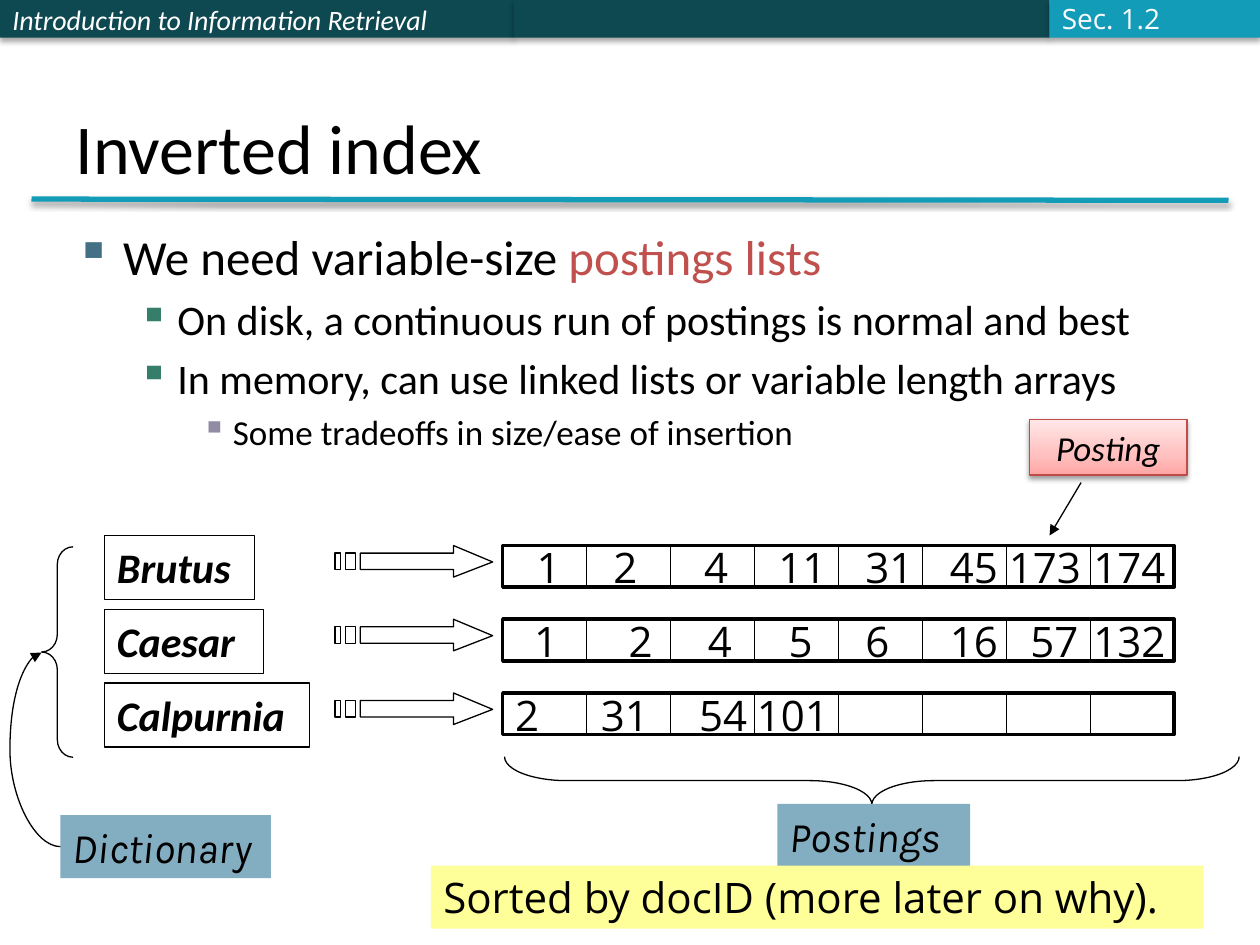
import pptx
import pptx.util
import pptx.dml.color
import pptx.enum.shapes
import pptx.enum.text
import pptx.oxml
import pptx.oxml.ns

THEME = dict(
    head="Calibri", label="Karla", plain="Open Sans",
    ink="000000", white="FFFFFF", pale="FBFCFF", dark="0E4851", teal="139CB7", red="C0504D",
    blue="83ADC1", yellow="FFFF99", rose="BF4C48",
    glow=((0, "FFA6A5"), (35, "FFC0BF"), (100, "FFE7E7")),
    title=40, big=24, mid=20, small=16, thin=0.75, thick=2, rule=3,
)
# Bullet levels: type size, left indent, hanging indent, bullet colour
LEVELS = [(28, 0.38, 0.38, "437085"), (24, 0.81, 0.31, "357E69"), (20, 1.25, 0.25, "918BA3")]
BULLETS = [
    (0, [("We need variable-size ", "ink"), ("postings lists", "red")]),
    (1, [("On disk, a continuous run of postings is normal and best", "ink")]),
    (1, [("In memory, can use linked lists or variable length arrays", "ink")]),
    (2, [("Some tradeoffs in size/ease of insertion", "ink")]),
]
# Term, width of its box, postings with the left edge of each number
ROWS = [
    ("Brutus", 1.19, [(1, 4.16), (2, 4.77), (4, 5.49), (11, 6.08), (31, 6.77),
                      (45, 7.44), (173, 7.91), (174, 8.58)]),
    ("Caesar", 1.26, [(1, 4.14), (2, 4.89), (4, 5.52), (5, 6.16), (6, 6.77),
                      (16, 7.44), (57, 8.08), (132, 8.58)]),
    ("Calpurnia", 1.63, [(2, 3.99), (31, 4.67), (54, 5.45), (101, 5.91)]),
]
ROW_TOP, ROW_STEP, CELL_H = 4.33, 0.585, 0.33
LIST_LEFT, LIST_W, CELLS = 3.99, 5.33, 8
NUMBER_W = {1: 0.41, 2: 0.63, 3: 0.84}
BAR_H = 0.3
ARROW_PARTS = [
    [(0.94, 0), (0.94, 0.06), (0.2, 0.06), (0.2, 0.19), (0.94, 0.19), (0.94, 0.25), (1.25, 0.13)],
    [(0.08, 0.06), (0.08, 0.19), (0.16, 0.19), (0.16, 0.06)],
    [(0, 0.06), (0, 0.19), (0.04, 0.19), (0.04, 0.06)],
]

inch, pt = pptx.util.Inches, pptx.util.Pt
SHAPE = pptx.enum.shapes.MSO_SHAPE
LINK = pptx.enum.shapes.MSO_CONNECTOR
ANCHOR = pptx.enum.text.MSO_ANCHOR
ALIGN = pptx.enum.text.PP_ALIGN
AUTO = pptx.enum.text.MSO_AUTO_SIZE
qn = pptx.oxml.ns.qn

prs = pptx.Presentation()
prs.slide_width, prs.slide_height = inch(10), inch(7.5)
s = prs.slides.add_slide(prs.slide_layouts[5])


def rgb(value):
    """Turn a hex string into a colour."""
    return pptx.dml.color.RGBColor.from_string(value)


def xml(tag, inner="", attrs=""):
    """Make one drawing element."""
    return pptx.oxml.parse_xml(f'<a:{tag} {pptx.oxml.ns.nsdecls("a")} {attrs}>{inner}</a:{tag}>')


def color_xml(value, inner=""):
    """Give the markup of a colour."""
    return f'<a:srgbClr val="{value}">{inner}</a:srgbClr>'


def drop_shadow(sp, alpha):
    """Put a soft shadow below a shape or line."""
    for old in sp._element.spPr.findall(qn("a:effectLst")):
        sp._element.spPr.remove(old)
    tint = color_xml("000000", f'<a:alpha val="{alpha * 1000}"/>')
    sp._element.spPr.append(xml("effectLst", '<a:outerShdw blurRad="39370" dist="22860" dir="5400000" '
                                f'rotWithShape="0">{tint}</a:outerShdw>'))


def add_run(p, text, size, font, color="ink", bold=False, italic=False):
    """Add one formatted run."""
    r = p.add_run()
    r.text = text
    r.font.size, r.font.name = pt(size), THEME[font]
    r.font.bold, r.font.italic = bold, italic
    r.font.color.rgb = rgb(THEME[color])


def outline(sp, fill=None, line=None, width=THEME["thin"]):
    """Set fill and outline, without a shadow."""
    sp.shadow.inherit = False
    if fill:
        sp.fill.solid()
        sp.fill.fore_color.rgb = rgb(THEME[fill])
    else:
        sp.fill.background()
    if line:
        sp.line.color.rgb, sp.line.width = rgb(THEME[line]), pt(width)
    else:
        sp.line.fill.background()
    return sp


def add_box(at, fill=None, line=None, width=THEME["thin"], kind=SHAPE.RECTANGLE):
    """Add a preset shape."""
    return outline(s.shapes.add_shape(kind, *map(inch, at)), fill, line, width)


def write(sp, text, size, font, wrap=False, anchor=ANCHOR.TOP, align=ALIGN.LEFT, grow=True, **style):
    """Write one line of text into a shape."""
    tf = sp.text_frame
    tf.word_wrap, tf.vertical_anchor = wrap, anchor
    tf.auto_size = AUTO.SHAPE_TO_FIT_TEXT if grow else AUTO.NONE
    tf.paragraphs[0].alignment = align
    add_run(tf.paragraphs[0], text, size, font, **style)


def add_line(start, end, color="ink", width=THEME["thin"], kind=LINK.STRAIGHT, arrow=False):
    """Add a line, with an arrowhead at its end if wanted."""
    c = s.shapes.add_connector(kind, *map(inch, start + end))
    c.line.color.rgb, c.line.width = rgb(THEME[color]), pt(width)
    if arrow:
        c.line._get_or_add_ln().append(xml("tailEnd", attrs='type="triangle"'))
    c._element.spPr.append(xml("effectLst"))
    return c


def add_striped_arrow(left, top):
    """Draw an arrow with two stripes behind it."""
    first, *others = [[(inch(left + x), inch(top + y)) for x, y in part] for part in ARROW_PARTS]
    builder = s.shapes.build_freeform(*first[0])
    builder.add_line_segments(first[1:], close=True)
    for part in others:
        builder.move_to(*part[0])
        builder.add_line_segments(part[1:], close=True)
    outline(builder.convert_to_shape(), line="ink")


def add_postings(top, numbers):
    """Draw a row of cells as nested frames and set its numbers."""
    cell = LIST_W / CELLS
    for k in range(CELLS // 2):
        add_box((LIST_LEFT + k * cell, top, LIST_W - 2 * k * cell, CELL_H), line="ink",
                width=THEME["thin"] if k else THEME["thick"])
    middle = LIST_LEFT + LIST_W / 2
    add_line((middle, top), (middle, top + CELL_H))
    for number, left in numbers:
        box = s.shapes.add_textbox(inch(left), inch(top - 0.08), inch(NUMBER_W[len(str(number))]), inch(0.51))
        write(box, str(number), THEME["big"], "plain")


# Header bar
for left, width, fill in ((0, 4.08, "dark"), (4.08, 4.25, "dark"), (8.33, 1.67, "teal")):
    bar = add_box((left, 0, width, BAR_H), fill)
    drop_shadow(bar, 35)
    if left == 0:
        write(bar, "Introduction to Information Retrieval", THEME["small"], "head", wrap=True,
              anchor=ANCHOR.MIDDLE, grow=False, color="white", italic=True)
section = s.shapes.add_textbox(inch(8.33), inch(-0.04), inch(1.06), inch(0.37))
write(section, "Sec. 1.2", THEME["small"], "plain", anchor=ANCHOR.MIDDLE, color="pale")

# Title and bullets
drop_shadow(add_line((0.25, 1.58), (9.75, 1.59), "teal", THEME["rule"]), 38)
title = s.shapes.title
title.left, title.top, title.width, title.height = map(inch, (0.5, 0.3, 9, 1.25))
write(title, "Inverted index", THEME["title"], "head", wrap=True, anchor=ANCHOR.BOTTOM, grow=False)
tf = s.shapes.add_textbox(inch(0.5), inch(1.75), inch(9), inch(5.42)).text_frame
tf.word_wrap = True
for i, (level, runs) in enumerate(BULLETS):
    p = tf.add_paragraph() if i else tf.paragraphs[0]
    size, indent, hang, tint = LEVELS[level]
    p.level, p.space_before = level, pt(size * 0.2)
    pPr = p._p.get_or_add_pPr()
    pPr.set("marL", str(inch(indent)))
    pPr.set("indent", str(-inch(hang)))
    pPr.append(xml("buClr", color_xml(tint)))
    pPr.append(xml("buChar", attrs='char="▪"'))
    for text, color in runs:
        add_run(p, text, size, "head", color)

# Dictionary and postings captions
for at, adj, turn in (((0.33, 4.34, 0.25, 1.67), 0.556, 0), ((6.73, 3.28, 0.38, 5.83), 1.296, 270)):
    brace = add_box(at, line="ink", kind=SHAPE.LEFT_BRACE)
    brace.adjustments[0], brace.rotation = adj, turn
for text, at, fill, font in (
    ("Dictionary", (0.48, 6.47, 1.67, 0.5), "blue", "label"),
    ("Postings", (6.17, 6.38, 1.53, 0.51), "blue", "label"),
    ("Sorted by docID (more later on why).", (3.42, 6.87, 6.13, 0.5), "yellow", "plain"),
):
    write(add_box(at, fill), text, THEME["big"], font, italic=font == "label")
curve = add_line((0.48, 6.72), (0.33, 5.18), kind=LINK.CURVE, arrow=True)
geom = curve._element.spPr.find(qn("a:prstGeom"))
geom.find(qn("a:avLst")).append(xml("gd", attrs='name="adj1" fmla="val 267400"'))

# Posting label and its pointer
posting = add_box((8.17, 3.33, 1.25, 0.44), line="rose")
stops = "".join(f'<a:gs pos="{at * 1000}">{color_xml(c)}</a:gs>' for at, c in THEME["glow"])
spPr = posting._element.spPr
spPr.replace(spPr.find(qn("a:noFill")),
             xml("gradFill", f'<a:gsLst>{stops}</a:gsLst><a:lin ang="16200000" scaled="0"/>'))
drop_shadow(posting, 38)
write(posting, "Posting", THEME["mid"], "head", wrap=True, anchor=ANCHOR.MIDDLE,
      align=ALIGN.CENTER, italic=True)
add_line((8.58, 3.83), (8.33, 4.25), arrow=True)

# Terms with their postings lists
for i, (term, width, numbers) in enumerate(ROWS):
    top = ROW_TOP + i * ROW_STEP
    write(add_box((0.83, top - 0.08, width, 0.51), line="ink"), term, THEME["big"], "head",
          bold=True, italic=True)
    add_striped_arrow(2.66, top)
    add_postings(top, numbers)

prs.save("out.pptx")
